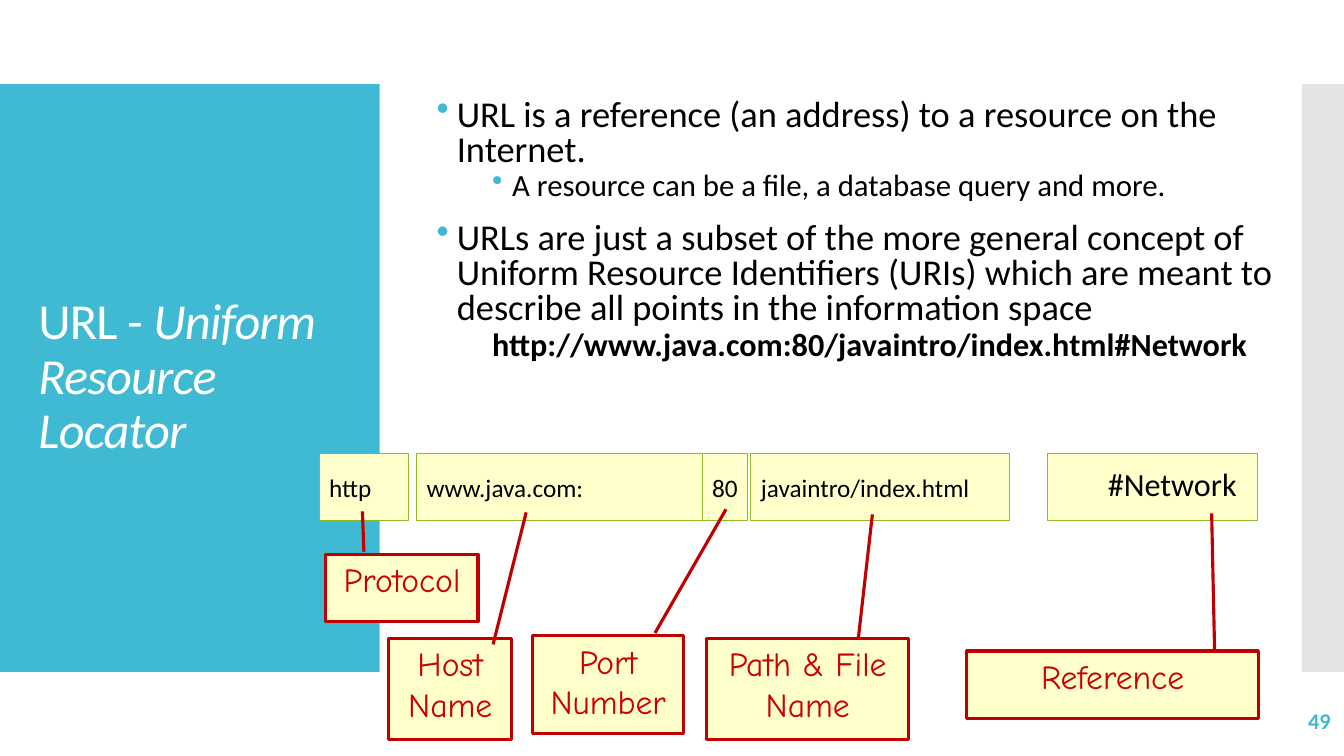
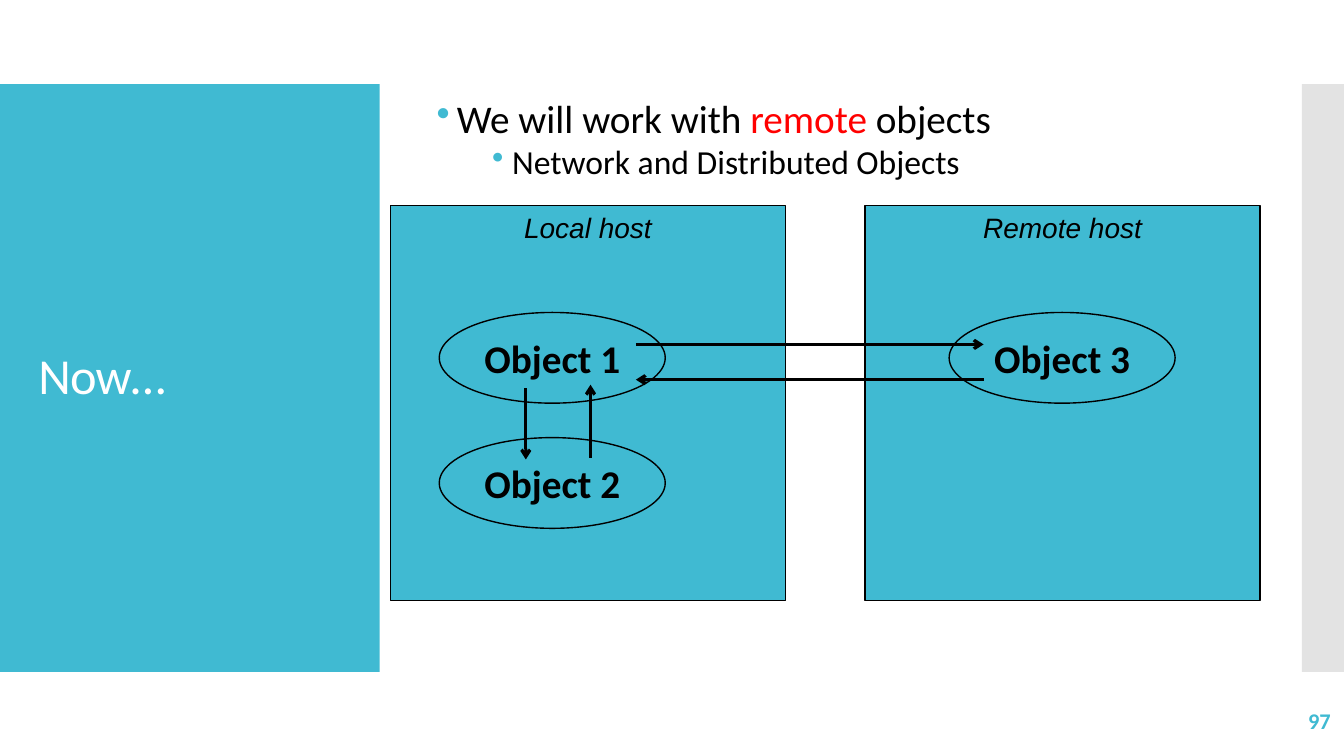
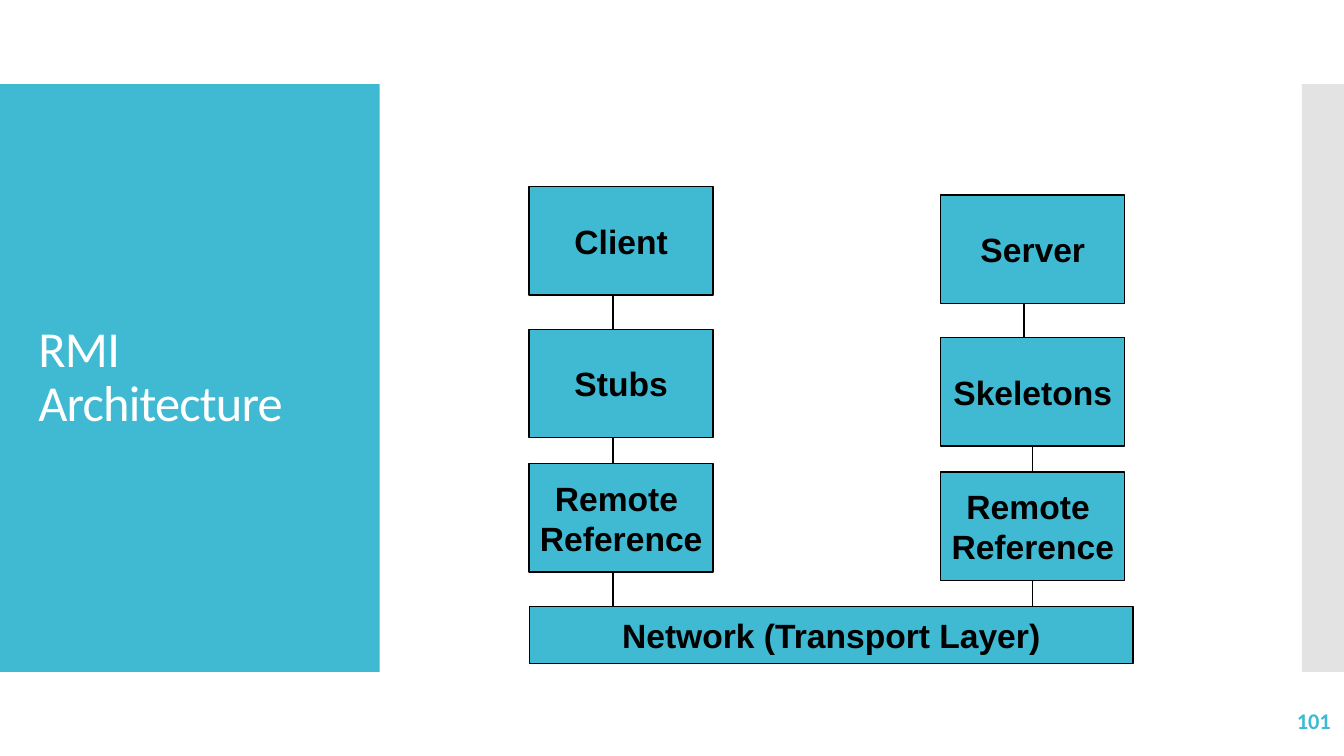
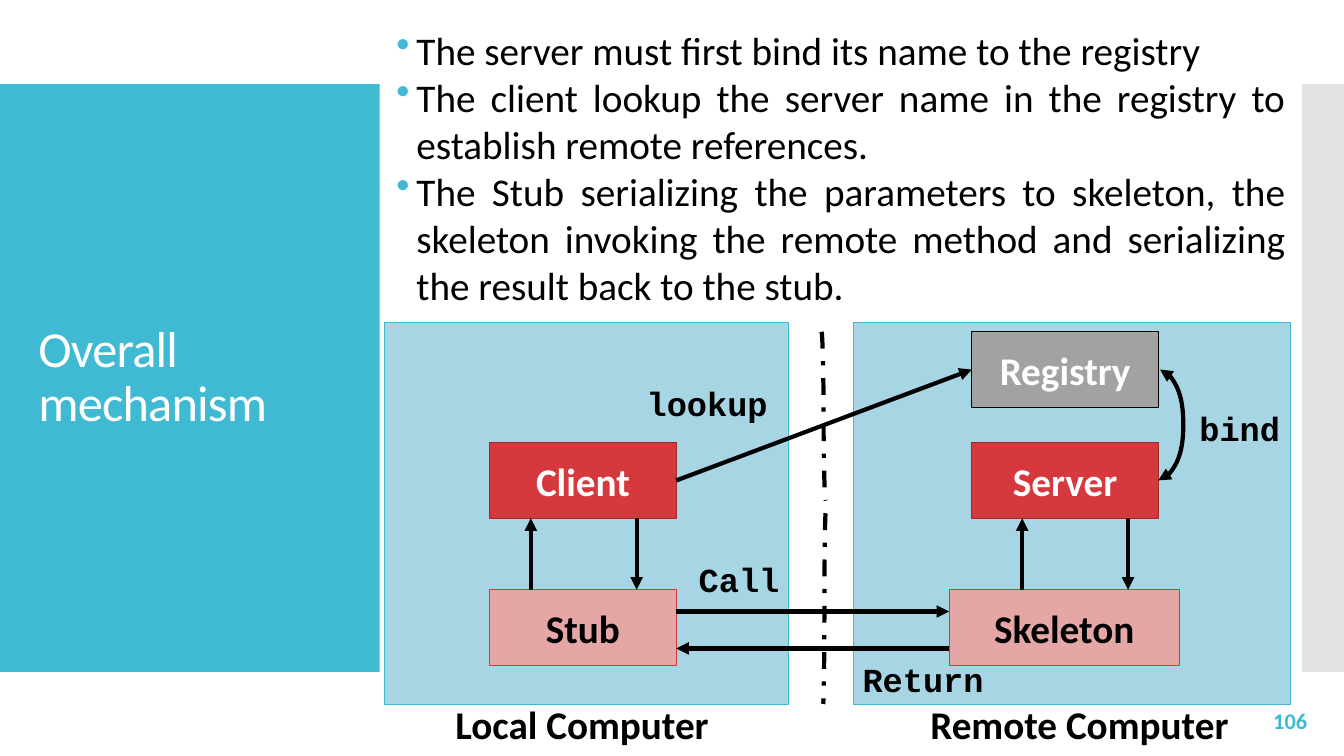
from pptx import Presentation
from pptx.dml.color import RGBColor
from pptx.enum.dml import MSO_LINE
from pptx.enum.shapes import MSO_CONNECTOR, MSO_SHAPE
from pptx.enum.text import MSO_ANCHOR, PP_ALIGN
from pptx.oxml.ns import qn
from pptx.util import Inches, Pt
from lxml import etree

RECT, OVAL, CALLOUT = MSO_SHAPE.RECTANGLE, MSO_SHAPE.OVAL, MSO_SHAPE.LINE_CALLOUT_1
STRAIGHT, CURVE = MSO_CONNECTOR.STRAIGHT, MSO_CONNECTOR.CURVE
LEFT, CENTER, RIGHT, JUSTIFY = PP_ALIGN.LEFT, PP_ALIGN.CENTER, PP_ALIGN.RIGHT, PP_ALIGN.JUSTIFY
TOP, MIDDLE = MSO_ANCHOR.TOP, MSO_ANCHOR.MIDDLE
DASH_DOT = MSO_LINE.DASH_DOT
TOP_SIDE, LEFT_SIDE, BOTTOM_SIDE, RIGHT_SIDE = range(4)

# The slide is a grid of 160 columns and 90 rows of equal cells.
COLUMNS, ROWS = 160, 90
CELL = Inches(1) // 12


class Theme:
    teal = RGBColor.from_string("40BAD2")
    pale_teal = RGBColor.from_string("A7D5E3")
    band_gray = RGBColor.from_string("E3E3E3")
    gray = RGBColor.from_string("A2A2A2")
    white = RGBColor.from_string("FFFFFF")
    black = RGBColor.from_string("000000")
    cream = RGBColor.from_string("FFFFCC")
    green = RGBColor.from_string("90BB23")
    bright_red = RGBColor.from_string("FF0000")
    dark_red = RGBColor.from_string("C00000")
    callout_red = RGBColor.from_string("CC0000")
    red = RGBColor.from_string("D5393D")
    red_edge = RGBColor.from_string("9E2A2D")
    pink = RGBColor.from_string("E5A6A6")
    main_font, plain_font = "Calibri", "Arial"
    note_font, code_font = "Comic Neue", "Courier New"
    title, large, medium, host, small, number = 36, 28, 24, 20, 18, 16


def add_box(page, place, text="", size=Theme.large, font=Theme.main_font,
            color=Theme.black, bold=None, italic=None, align=LEFT, anchor=MIDDLE,
            wrap=True, kind=None, fill=None, outline=None, weight=1, accent=None):
    """Add a shape, or a text box without a kind; text between bars is
    coloured with the accent, or set in italics when there is none."""
    frame = [round(length * CELL) for length in place]
    if kind is None:
        box = page.shapes.add_textbox(*frame)
    else:
        box = page.shapes.add_shape(kind, *frame)
        box.shadow.inherit = False
        box.fill.solid()
        box.fill.fore_color.rgb = fill
        if outline is None:
            box.line.fill.background()
        else:
            box.line.color.rgb = outline
            box.line.width = Pt(weight)
    if not text:
        return box
    box.text_frame.word_wrap = wrap
    box.text_frame.vertical_anchor = anchor
    for index, line in enumerate(text.split("\n")):
        para = box.text_frame.add_paragraph() if index else box.text_frame.paragraphs[0]
        para.alignment = align
        para.font.name, para.font.size = font, Pt(size)
        para.font.bold, para.font.italic = bold, italic
        para.font.color.rgb = color
        for order, piece in enumerate(line.split("|")):
            if not piece:
                continue
            span = para.add_run()
            span.text = piece
            if order % 2 and accent is None:
                span.font.italic = True
            elif order % 2:
                span.font.color.rgb = accent
    return box


def add_line(page, start, end, weight=1, head=None, tail=None, dash=None, kind=STRAIGHT):
    ends = [round(length * CELL) for length in (*start, *end)]
    line = page.shapes.add_connector(kind, *ends)
    line.line.color.rgb = Theme.black
    line.line.width = Pt(weight)
    if dash is not None:
        line.line.dash_style = dash
    props = line._element.spPr
    for tag, arrow in (("a:headEnd", head), ("a:tailEnd", tail)):
        if arrow:
            etree.SubElement(props.find(qn("a:ln")), qn(tag)).set("type", arrow)
    etree.SubElement(props, qn("a:effectLst"))
    return line


deck = Presentation()
deck.slide_width, deck.slide_height = COLUMNS * CELL, ROWS * CELL
blank = deck.slide_layouts[6]

# Bands, title and page number
pages = []
for title, number, number_left in (
    ("URL - |Uniform Resource Locator|", "49", 139.6),
    ("Now…", "97", 139.6),
    ("RMI Architecture", "101", 139.6),
    ("Overall mechanism", "106", 136.8),
):
    page = deck.slides.add_slide(blank)
    add_box(page, (0, 10, 45.2, 70), kind=RECT, fill=Theme.teal)
    add_box(page, (155, 10, 5, 70), kind=RECT, fill=Theme.band_gray)
    heading = add_box(page, (3.4, 14.8, 38.6, 60.4), title, Theme.title, color=Theme.white)
    para = heading.text_frame.paragraphs[0]
    para.line_spacing = 0.9
    para._p.pPr.find(qn("a:defRPr")).set("spc", "-60")
    add_box(page, (number_left, 83.4, 20, 4.8), number, Theme.number,
            color=Theme.teal, bold=True, align=RIGHT)
    pages.append(page)
url_page, objects_page, layers_page, mechanism_page = pages

# Body text: each line has its level, size, bullet and wording
for page, place, spacing, gap, align, lines in (
    (url_page, (50.8, 11.3, 105.5, 67.2), 0.8, 12, LEFT, (
        (0, 26, True, "URL is a reference (an address) to a resource on the Internet."),
        (1, 22, True, "A resource can be a file, a database query and more."),
        (0, 26, True, "URLs are just a subset of the more general concept of Uniform "
                      "Resource Identifiers (URIs) which are meant to describe all "
                      "points in the information space"),
        (1, 23, False, "http://www.java.com:80/javaintro/index.html#Network"),
    )),
    (objects_page, (50.8, 11.3, 96, 67.2), 0.9, 12, LEFT, (
        (0, Theme.large, True, "We will work with |remote| objects"),
        (1, Theme.medium, True, "Network and Distributed Objects"),
    )),
    (mechanism_page, (46, 2.5, 108.2, 76.1), 1.0, 0, JUSTIFY, (
        (0, Theme.large, True, "The server must first bind its name to the registry"),
        (0, Theme.large, True, "The client lookup the server name in the registry to "
                               "establish remote references."),
        (0, Theme.large, True, "The Stub serializing the parameters to skeleton, the "
                               "skeleton invoking the remote method and serializing "
                               "the result back to the stub."),
    )),
):
    body = add_box(page, place, "\n".join(line[-1] for line in lines), align=align,
                   anchor=TOP, accent=Theme.bright_red)
    for para, (level, size, bullet, _) in zip(body.text_frame.paragraphs, lines):
        para.font.size = Pt(size)
        para.line_spacing = spacing
        para.space_before = Pt(2.5 if level else gap)
        para.space_after = Pt(2.5 if level else 0)
        props = para._p.get_or_add_pPr()
        props.set("marL", str(Inches(0.75 if level else 0.2)))
        props.set("indent", str(Inches(-0.2)))
        if bullet:
            tint = etree.Element(qn("a:buClr"))
            etree.SubElement(tint, qn("a:srgbClr")).set("val", str(Theme.teal))
            mark = etree.Element(qn("a:buChar"))
            mark.set("char", "•")
            for element in (tint, mark):
                props.insert_element_before(element, "a:tabLst", "a:defRPr", "a:extLst")
        else:
            para.font.bold = True

# URL pieces, each with the callout that names it
for left, width, piece, size, place, name, pointer in (
    (38, 10.6, "http", Theme.small,
     (38.8, 66, 18.1, 8), "Protocol", (-0.04, 0.25, -0.64, 0.24)),
    (49.6, 34, "www.java.com:", Theme.small,
     (46.3, 76, 14.6, 12), "Host Name", (0.06, 0.85, -1.25, 1.12)),
    (83.6, 5.4, "80", Theme.small,
     (63.4, 75.7, 18, 11.6), "Port Number", (-0.03, 0.81, -1.3, 1.28)),
    (89.4, 30.8, "javaintro/index.html", Theme.small,
     (84.1, 76, 24.1, 12), "Path & File Name", (0.01, 0.75, -1.23, 0.82)),
    (124.7, 25, "#Network", 23,
     (115.1, 77.5, 34.7, 8), "Reference", (-0.01, 0.85, -2.05, 0.84)),
):
    box = add_box(url_page, (left, 54, width, 8), piece, size, wrap=False, kind=RECT,
                  fill=Theme.cream, outline=Theme.green, weight=0.75)
    if piece.startswith("#"):
        para = box.text_frame.paragraphs[0]
        para.line_spacing = 0.8
        para._p.get_or_add_pPr().set("marL", str(Inches(0.5)))
    callout = add_box(url_page, place, name, Theme.medium, Theme.note_font,
                      Theme.callout_red, align=CENTER, anchor=TOP, kind=CALLOUT,
                      fill=Theme.cream, outline=Theme.dark_red, weight=2.25)
    for index, share in enumerate(pointer):
        callout.adjustments[index] = share

# Hosts and their objects
for left, host in ((46.5, "Local host"), (103, "Remote host")):
    add_box(objects_page, (left, 24.5, 47, 47), host, Theme.host, Theme.plain_font,
            italic=True, align=CENTER, anchor=TOP, kind=RECT, fill=Theme.teal,
            outline=Theme.black)
for left, top, name in ((52.3, 37.2, "Object 1"), (52.3, 52.1, "Object 2"),
                        (113, 37.2, "Object 3")):
    add_box(objects_page, (left, top, 26.9, 10.8), name, bold=True, align=CENTER,
            wrap=False, kind=OVAL, fill=Theme.teal, outline=Theme.black)
for start, end in (((117.1, 45.2), (75.7, 45.2)), ((62.6, 46.2), (62.6, 54.7)),
                   ((70.3, 54.5), (70.3, 45.8)), ((75.7, 41), (117.1, 41))):
    add_line(objects_page, start, end, 2.25, tail="arrow")

# Two stacks of layers on one network
layer_style = dict(size=Theme.medium, font=Theme.plain_font, bold=True, align=CENTER,
                   wrap=False, kind=RECT, fill=Theme.teal, outline=Theme.black)
layer_width, layer_height, network_top = 21.9, 12.9, 72.2
half_width = layer_width / 2
add_box(layers_page, (63, network_top, 71.9, 6.8), "Network (Transport Layer)", **layer_style)
for left, drop, names, link_offsets in (
    (63, 0, ("Client", "Stubs", "Remote \nReference"), (10, 10, 10)),
    (112, 1, ("Server", "Skeletons", "Remote \nReference"), (9.9, half_width, half_width)),
):
    tops = [row + drop for row in (22.2, 39.2, 55.2)]
    layers = [add_box(layers_page, (left, top, layer_width, layer_height), name, **layer_style)
              for top, name in zip(tops, names)]
    for index, offset in enumerate(link_offsets):
        lower_top = (tops + [network_top])[index + 1]
        link = add_line(layers_page, (left + offset, tops[index] + layer_height),
                        (left + offset, lower_top))
        if offset == half_width:
            link.begin_connect(layers[index], BOTTOM_SIDE)
            if index + 1 < len(layers):
                link.end_connect(layers[index + 1], TOP_SIDE)

# Computers, the border between them, and their programs
for left, width, label_width, name in ((45.8, 48.1, 47, "Local Computer"),
                                       (101.6, 52.1, 53.8, "Remote Computer")):
    add_box(mechanism_page, (left, 38.4, width, 45.5), kind=RECT, fill=Theme.pale_teal,
            outline=Theme.teal, weight=0.75)
    add_box(mechanism_page, (left, 82.8, label_width, 6.8), name, bold=True,
            align=CENTER, anchor=TOP)
for start, end in (((97.8, 39.5), (98.3, 59.6)), ((98.3, 61.1), (98, 83.8))):
    add_line(mechanism_page, start, end, 3, dash=DASH_DOT, kind=CURVE)

programs = {}
for left, top, width, name, fill, outline, color in (
    (58.3, 52.7, 22.2, "Client", Theme.red, Theme.red_edge, Theme.white),
    (58.3, 70.2, 22.2, "Stub", Theme.pink, Theme.red, Theme.black),
    (115.7, 52.7, 22.2, "Server", Theme.red, Theme.red_edge, Theme.white),
    (113, 70.2, 27.4, "Skeleton", Theme.pink, Theme.red, Theme.black),
    (115.7, 39.5, 22.2, "Registry", Theme.gray, Theme.black, Theme.white),
):
    programs[name] = add_box(mechanism_page, (left, top, width, 9), name, color=color,
                             bold=True, align=CENTER, kind=RECT, fill=fill,
                             outline=outline, weight=0.75)

for start, end in (
    ((75.8, 61.7), (75.8, 70.2)), ((63.2, 70.2), (63.2, 61.7)),
    ((134.3, 61.7), (134.3, 70.2)), ((121.7, 70.2), (121.7, 61.7)),
    ((80.5, 72.8), (113, 72.8)), ((113, 77.2), (80.5, 77.2)),
):
    add_line(mechanism_page, start, end, 3, tail="triangle")
lookup = add_line(mechanism_page, (80.5, 57.2), (115.7, 44), 3, tail="triangle")
lookup.begin_connect(programs["Client"], RIGHT_SIDE)
lookup.end_connect(programs["Registry"], LEFT_SIDE)

# The bend lies 15 times the curve's own width to the right
bind = add_line(mechanism_page, (137.9, 57.2), (138.1, 44), 3, head="triangle",
                tail="triangle", kind=CURVE)
bends = bind._element.spPr.find(qn("a:prstGeom")).find(qn("a:avLst"))
bend = etree.SubElement(bends, qn("a:gd"))
bend.set("name", "adj1")
bend.set("fmla", "val 1500000")

for left, top, width, name in ((75.8, 45, 16.9, "lookup"), (141.6, 48, 12.1, "bind"),
                               (82, 66, 12.1, "Call"), (101.5, 77.8, 16.9, "Return")):
    add_box(mechanism_page, (left, top, width, 6), name, Theme.medium, Theme.code_font,
            bold=True, anchor=TOP, wrap=False)

deck.save("out.pptx")
